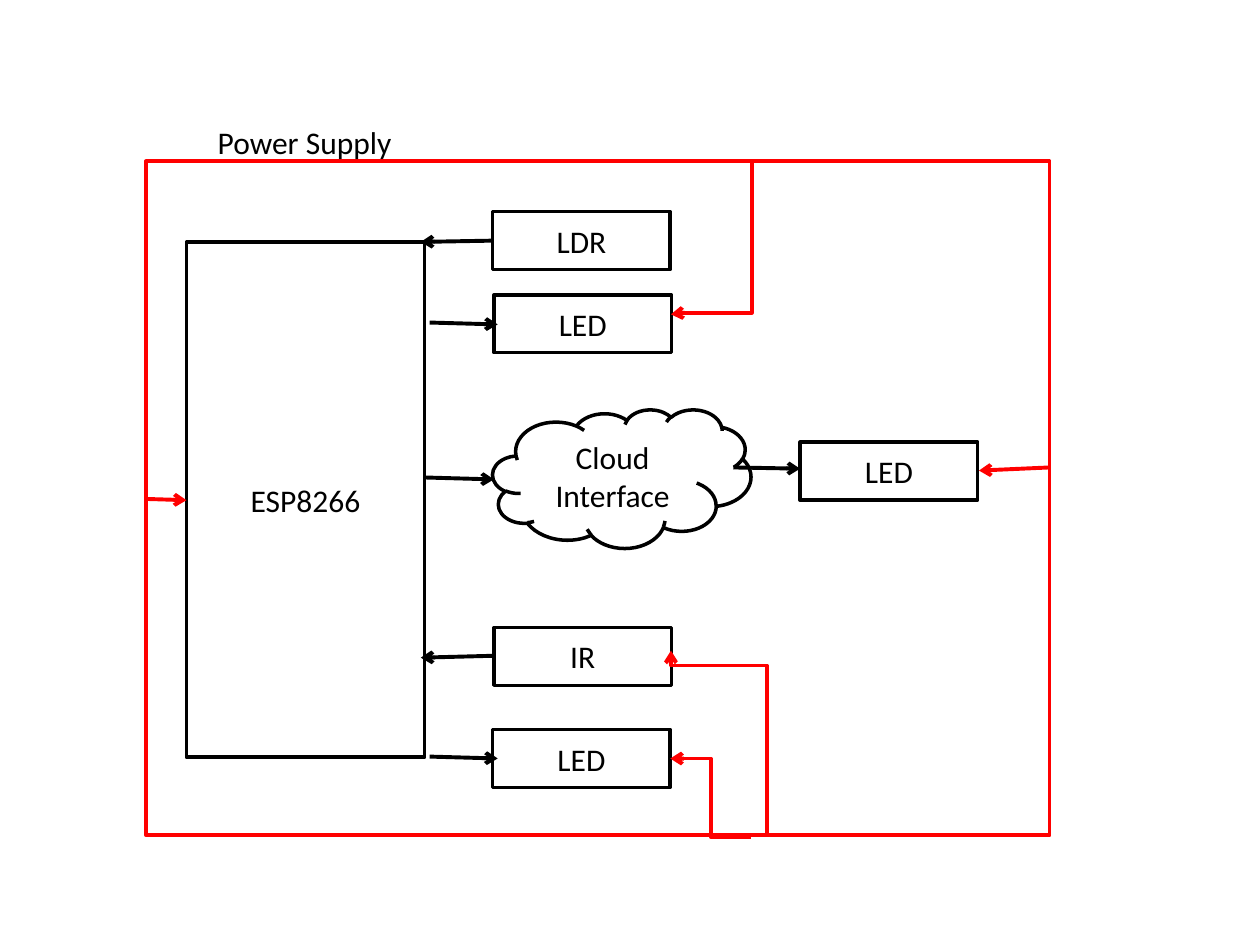
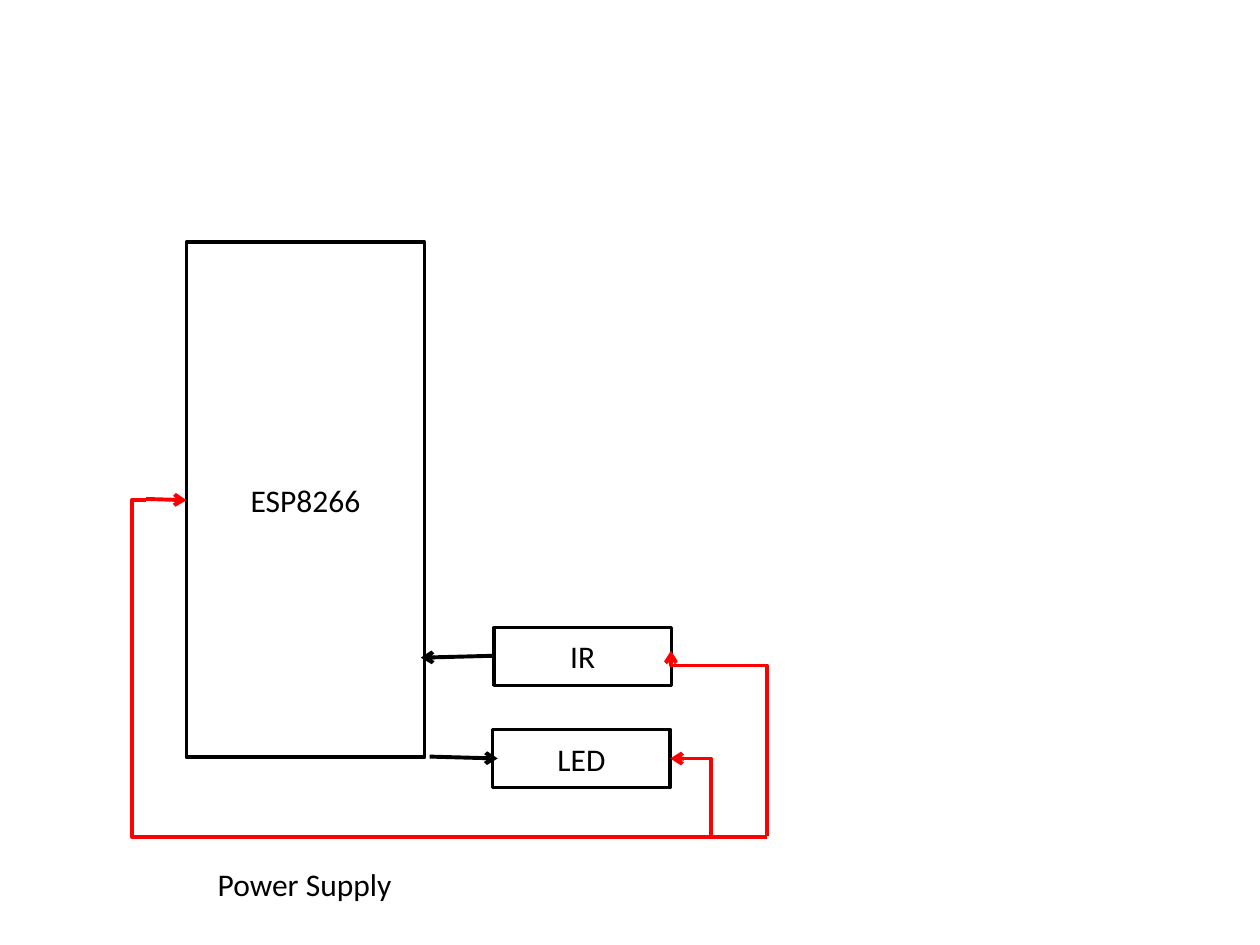
from dataclasses import dataclass

from lxml.etree import SubElement
from pptx import Presentation
from pptx.dml.color import RGBColor
from pptx.enum.shapes import MSO_CONNECTOR, MSO_SHAPE
from pptx.enum.text import MSO_ANCHOR, MSO_AUTO_SIZE, PP_ALIGN
from pptx.oxml.ns import qn
from pptx.util import Inches, Pt

RECTANGLE, CLOUD = MSO_SHAPE.RECTANGLE, MSO_SHAPE.CLOUD
STRAIGHT, ELBOW = MSO_CONNECTOR.STRAIGHT, MSO_CONNECTOR.ELBOW
CENTER, LEFT = PP_ALIGN.CENTER, PP_ALIGN.LEFT
MIDDLE, FIT_TEXT = MSO_ANCHOR.MIDDLE, MSO_AUTO_SIZE.SHAPE_TO_FIT_TEXT

COLUMNS, ROWS = 100, 75
SLIDE_WIDTH, SLIDE_HEIGHT = Inches(10), Inches(7.5)


@dataclass(frozen=True)
class Theme:
    signal: RGBColor = RGBColor(0, 0, 0)
    power: RGBColor = RGBColor(255, 0, 0)
    text: RGBColor = RGBColor(0, 0, 0)
    font: str = "Calibri"
    text_size: Pt = Pt(18)
    outline: Pt = Pt(2)
    wire: Pt = Pt(2.25)


@dataclass(frozen=True)
class Box:
    """An area in grid columns and rows."""
    left: float
    top: float
    width: float
    height: float

    def inside(self, left, top, width, height):
        return Box(self.left + left, self.top + top, width, height)

    def lengths(self):
        return (across(self.left), down(self.top),
                across(self.width), down(self.height))


THEME = Theme()
BOARD = Box(11.6, 12.8, 71.7, 53.5)
CONTROLLER = (3.2, 6.4, 18.9, 40.9)
MODULE_SIZE = (14.1, 4.6)
MODULE_LEFT = 27.5
CONTROLLER_RIGHT = 21.8
OUTPUT_START, OUTPUT_END = 22.5, 27.9


def across(columns):
    return round(columns * SLIDE_WIDTH / COLUMNS)


def down(rows):
    return round(rows * SLIDE_HEIGHT / ROWS)


def set_text(frame, text, alignment):
    para = frame.paragraphs[0]
    para.alignment = alignment
    span = para.add_run()
    span.text = text
    for name, value in {"name": THEME.font, "size": THEME.text_size}.items():
        setattr(span.font, name, value)
    span.font.color.rgb = THEME.text


def set_line(item, color, width):
    item.line.color.rgb = color
    item.line.width = width


def add_block(page, box, text="", kind=RECTANGLE,
              color=THEME.signal, width=THEME.outline):
    block = page.shapes.add_shape(kind, *box.lengths())
    block.shadow.inherit = False
    block.fill.background()
    set_line(block, color, width)
    block.text_frame.vertical_anchor = MIDDLE
    if text:
        set_text(block.text_frame, text, CENTER)


def add_module(page, board, text, left, top):
    add_block(page, board.inside(left, top, *MODULE_SIZE), text)


def add_wire(page, box, color, kind=STRAIGHT, arrow=True):
    """Join the top left of the box to its far corner."""
    left, top, width, height = box.lengths()
    wire = page.shapes.add_connector(kind, left, top, left + width, top + height)
    set_line(wire, color, THEME.wire)
    properties = wire.element.spPr
    if arrow:
        SubElement(properties.find(qn("a:ln")), qn("a:tailEnd"), type="arrow")
    SubElement(properties, qn("a:effectLst"))
    return properties


def add_arrow(page, board, start, end, color=THEME.signal):
    (left, top), (right, bottom) = start, end
    add_wire(page, board.inside(left, top, right - left, bottom - top), color)


def add_bend(page, box, turn=0, flip=False, elbow=0.5, arrow=True):
    """Add a power wire with its elbow at a share of the box, then turn it."""
    properties = add_wire(page, box, THEME.power, ELBOW, arrow)
    frame = properties.find(qn("a:xfrm"))
    frame.set("rot", str(turn * 60000))
    if flip:
        frame.set("flipV", "1")
    guides = properties.find(qn("a:prstGeom")).find(qn("a:avLst"))
    SubElement(guides, qn("a:gd"), name="adj1", fmla=f"val {round(elbow * 100000)}")


def add_input(page, board, row, drop):
    add_arrow(page, board, (MODULE_LEFT, row), (CONTROLLER_RIGHT, row + drop))


def add_output(page, board, row, shift=0.0):
    add_arrow(page, board, (OUTPUT_START + shift, row),
              (OUTPUT_END + shift, row + 0.15))


def add_power_label(page, board, top):
    label = page.shapes.add_textbox(*board.inside(4.7, top, 16, 4).lengths())
    for name, value in {"word_wrap": False, "auto_size": FIT_TEXT}.items():
        setattr(label.text_frame, name, value)
    set_text(label.text_frame, "Power Supply", LEFT)


def draw_infrared_circuit(page, board):
    """Draw the controller with the IR sensor, its LED and their power."""
    add_block(page, board.inside(*CONTROLLER), "ESP8266")
    add_module(page, board, "IR", MODULE_LEFT + 0.1, 37)
    add_module(page, board, "LED", MODULE_LEFT, 45.1)
    add_input(page, board, 39.25, 0.15)
    add_output(page, board, 47.25)
    add_arrow(page, board, (0, 26.8), (3.2, 26.9), THEME.power)
    add_bend(page, board.inside(41.6, 47.4, 6.4, 6.2), turn=180)
    add_bend(page, board.inside(38.1, 42.4, 14.7, 7.6),
             turn=270, flip=True, elbow=0.92)


def draw_light_circuit(page, board):
    add_module(page, board, "LDR", MODULE_LEFT, 4)
    add_module(page, board, "LED", MODULE_LEFT + 0.1, 10.6)
    add_input(page, board, 6.3, 0.1)
    add_output(page, board, 12.8)
    add_bend(page, board.inside(38.8, 2.9, 12.1, 6.4), turn=90, elbow=0.99)


def draw_cloud_circuit(page, board):
    add_block(page, board.inside(MODULE_LEFT, 19.7, 20.5, 11),
              "Cloud Interface", CLOUD)
    add_module(page, board, "LED", 51.9, 22.3)
    add_output(page, board, 25.1, shift=-0.3)
    add_arrow(page, board, (46.6, 24.3), (51.9, 24.4))
    add_arrow(page, board, (board.width, 24.3), (66.1, 24.55), THEME.power)


def draw_full_system(page, board):
    draw_infrared_circuit(page, board)
    draw_light_circuit(page, board)
    draw_cloud_circuit(page, board)
    add_block(page, board, color=THEME.power, width=THEME.wire)
    add_power_label(page, board, -3.5)


def draw_infrared_system(page, board):
    draw_infrared_circuit(page, board)
    add_power_label(page, board, 55.4)
    add_bend(page, board.inside(0, 26.9, 49.3, 26.7), elbow=-0.023, arrow=False)


def main():
    deck = Presentation()
    deck.slide_width, deck.slide_height = SLIDE_WIDTH, SLIDE_HEIGHT
    blank = deck.slide_layouts[6]
    for draw in (draw_full_system, draw_infrared_system):
        draw(deck.slides.add_slide(blank), BOARD)
    deck.save("out.pptx")


if __name__ == "__main__":
    main()
